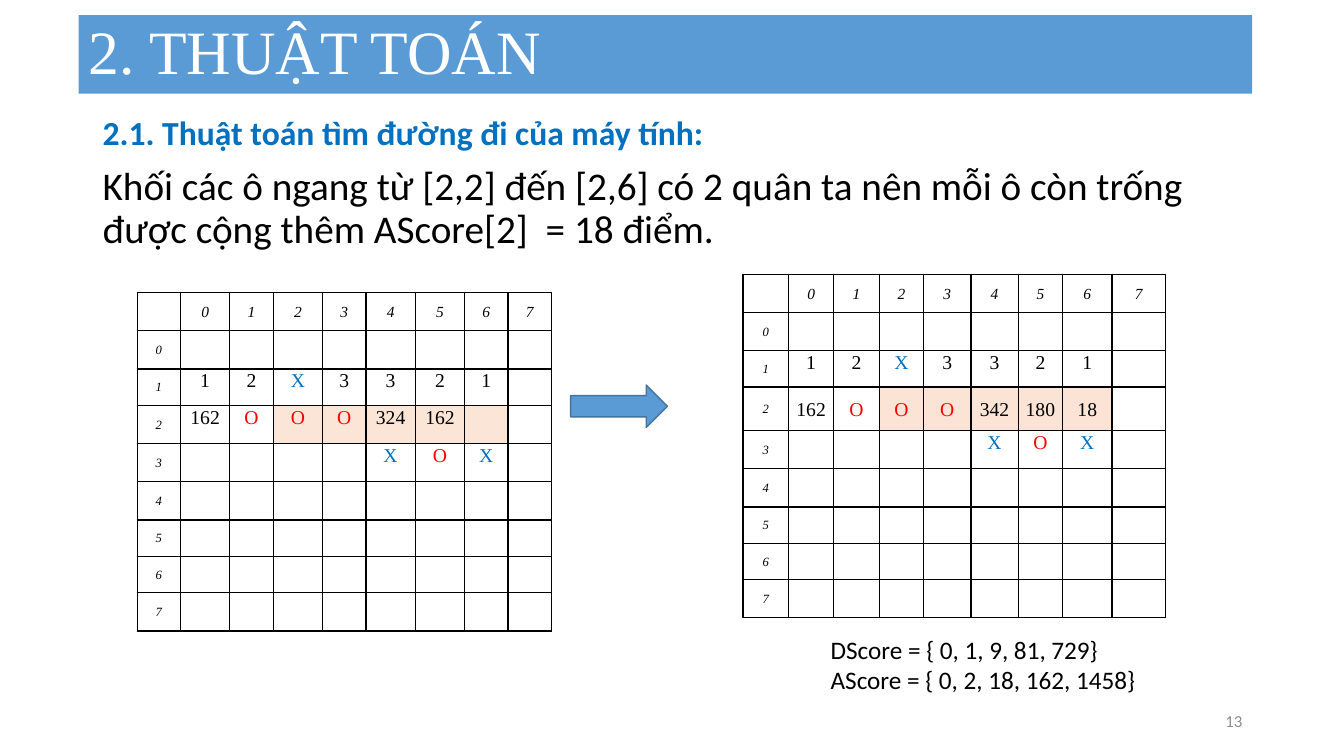
from lxml import etree
from pptx import Presentation
from pptx.dml.color import RGBColor
from pptx.enum import shapes, text
from pptx.oxml.ns import qn
from pptx.util import Inches, Pt

COLORS = {"banner": "5B9BD5", "arrow_line": "43739E", "heading": "0070C0",
          "black": "000000", "white": "FFFFFF", "page": "8C8C8C",
          "X": "0070C0", "O": "FF0000"}
SANS, SERIF = "Calibri", "Times New Roman"
LEFT, CENTER, RIGHT = text.PP_ALIGN.LEFT, text.PP_ALIGN.CENTER, text.PP_ALIGN.RIGHT
TOP, MIDDLE = text.MSO_ANCHOR.TOP, text.MSO_ANCHOR.MIDDLE

TITLE = "2. THUẬT TOÁN"
HEADING = "2.1. Thuật toán tìm đường đi của máy tính:"
BODY = ("Khối các ô ngang từ [2,2] đến [2,6] có 2 quân ta nên mỗi ô còn trống "
        "được cộng thêm AScore[2]  = 18 điểm.")
SCORES = ["DScore = { 0, 1, 9, 81, 729}", "AScore = { 0, 2, 18, 162, 1458}"]
PAGE = "13"

SIZE = 8  # squares along each side of a board
BLOCK_ROW, BLOCK_COLS = 2, range(2, 7)
SHARED_MARKS = {1: ["1", "2", "X", "3", "3", "2", "1"],
                3: ["", "", "", "", "X", "O", "X"]}
BOARDS = [
    {"at": (1.36, 2.9), "block_fill": "FBE5D6", "block_anchor": TOP,
     "cols": [0.43, 0.49, 0.43, 0.49, 0.43, 0.49, 0.49, 0.43, 0.43],
     "rows": [0.38, 0.38, 0.36, 0.38, 0.38, 0.38, 0.36, 0.36, 0.38],
     "block": ["162", "O", "O", "O", "324", "162", ""]},
    {"at": (7.37, 2.72), "block_fill": "FBE4D5", "block_anchor": MIDDLE,
     "cols": [0.45, 0.45, 0.45, 0.44, 0.47, 0.47, 0.44, 0.49, 0.53],
     "rows": [0.38, 0.38, 0.36, 0.43, 0.38, 0.38, 0.36, 0.36, 0.38],
     "block": ["162", "O", "O", "O", "342", "180", "18"]},
]


def rgb(color):
    return RGBColor.from_string(COLORS.get(color, color))


def write(paragraph, words, size, color="black", font=SANS, align=LEFT,
          bold=False, italic=False, line=None, before=None, after=None):
    paragraph.alignment = align
    if line:
        paragraph.line_spacing = line
    if before is not None:
        paragraph.space_before = Pt(before)
    if after is not None:
        paragraph.space_after = Pt(after)
    run = paragraph.add_run()
    run.text = words
    run.font.size, run.font.name = Pt(size), font
    run.font.bold, run.font.italic = bold, italic
    run.font.color.rgb = rgb(color)


def add_frame(slide, box, anchor=TOP):
    frame = slide.shapes.add_textbox(*map(Inches, box)).text_frame
    frame.word_wrap = True
    frame.vertical_anchor = anchor
    return frame


def add_filled(slide, kind, box, fill):
    shape = slide.shapes.add_shape(kind, *map(Inches, box))
    shape.shadow.inherit = False
    shape.fill.solid()
    shape.fill.fore_color.rgb = rgb(fill)
    return shape


def outline_cell(cell):
    """Draw 1 pt black borders; call before filling, as borders come first."""
    props = cell._tc.get_or_add_tcPr()
    for side in ("lnL", "lnR", "lnT", "lnB"):
        border = etree.SubElement(props, qn(f"a:{side}"), w=str(Pt(1)))
        fill = etree.SubElement(border, qn("a:solidFill"))
        etree.SubElement(fill, qn("a:srgbClr"), val=COLORS["black"])


def add_board(slide, board):
    box = (*board["at"], sum(board["cols"]), sum(board["rows"]))
    frame = slide.shapes.add_table(SIZE + 1, SIZE + 1, *map(Inches, box))
    table = frame.table
    table.first_row = table.horz_banding = False
    for column, width in zip(table.columns, board["cols"]):
        column.width = Inches(width)
    for row, height in zip(table.rows, board["rows"]):
        row.height = Inches(height)

    marks = {**SHARED_MARKS, BLOCK_ROW: board["block"]}
    for r in range(-1, SIZE):  # -1 is the row or column of indices
        for c in range(-1, SIZE):
            cell = table.cell(r + 1, c + 1)
            cell.margin_left = cell.margin_right = Inches(0.07)
            cell.margin_top = cell.margin_bottom = 0
            outline_cell(cell)
            if r == BLOCK_ROW and c in BLOCK_COLS:
                cell.fill.solid()
                cell.fill.fore_color.rgb = rgb(board["block_fill"])
            else:
                cell.fill.background()

            is_index = (r < 0) != (c < 0)
            if is_index:
                words, size = str(max(r, c)), 11 if r < 0 else 9
            else:
                row_marks = marks.get(r, [])
                words = row_marks[c] if 0 <= c < len(row_marks) else ""
                size = 14
            if words:
                in_block = r == BLOCK_ROW
                cell.vertical_anchor = (MIDDLE if is_index else
                                        board["block_anchor"] if in_block else TOP)
                color = words if words in ("X", "O") else "black"
                write(cell.text_frame.paragraphs[0], words, size, color, SERIF,
                      CENTER, italic=is_index, line=1.07, after=8)


def main():
    deck = Presentation()
    deck.slide_width, deck.slide_height = Inches(13.33), Inches(7.5)
    slide = deck.slides.add_slide(deck.slide_layouts[6])

    banner = add_filled(slide, shapes.MSO_SHAPE.RECTANGLE,
                        (0.78, 0.15, 11.64, 0.78), "banner")
    banner.line.fill.background()
    banner.text_frame.vertical_anchor = MIDDLE
    write(banner.text_frame.paragraphs[0], TITLE, 44, "white", SERIF, line=0.9)

    body = add_frame(slide, (0.92, 1.11, 11.5, 5.84))
    write(body.paragraphs[0], HEADING, 24, "heading", bold=True,
          align=text.PP_ALIGN.JUSTIFY, line=0.9, before=10)
    write(body.add_paragraph(), BODY, 28, line=0.9, before=10)

    page = add_frame(slide, (9.42, 6.95, 3, 0.4), MIDDLE)
    write(page.paragraphs[0], PAGE, 12, "page", align=RIGHT)

    scores = add_frame(slide, (8.14, 6.24, 3.67, 0.71))
    write(scores.paragraphs[0], SCORES[0], 18)
    write(scores.add_paragraph(), SCORES[1], 18)

    arrow = add_filled(slide, shapes.MSO_SHAPE.RIGHT_ARROW,
                       (5.66, 3.82, 0.96, 0.42), "banner")
    arrow.line.color.rgb = rgb("arrow_line")
    arrow.line.width = Pt(1)

    for board in BOARDS:
        add_board(slide, board)
    deck.save("out.pptx")


if __name__ == "__main__":
    main()
